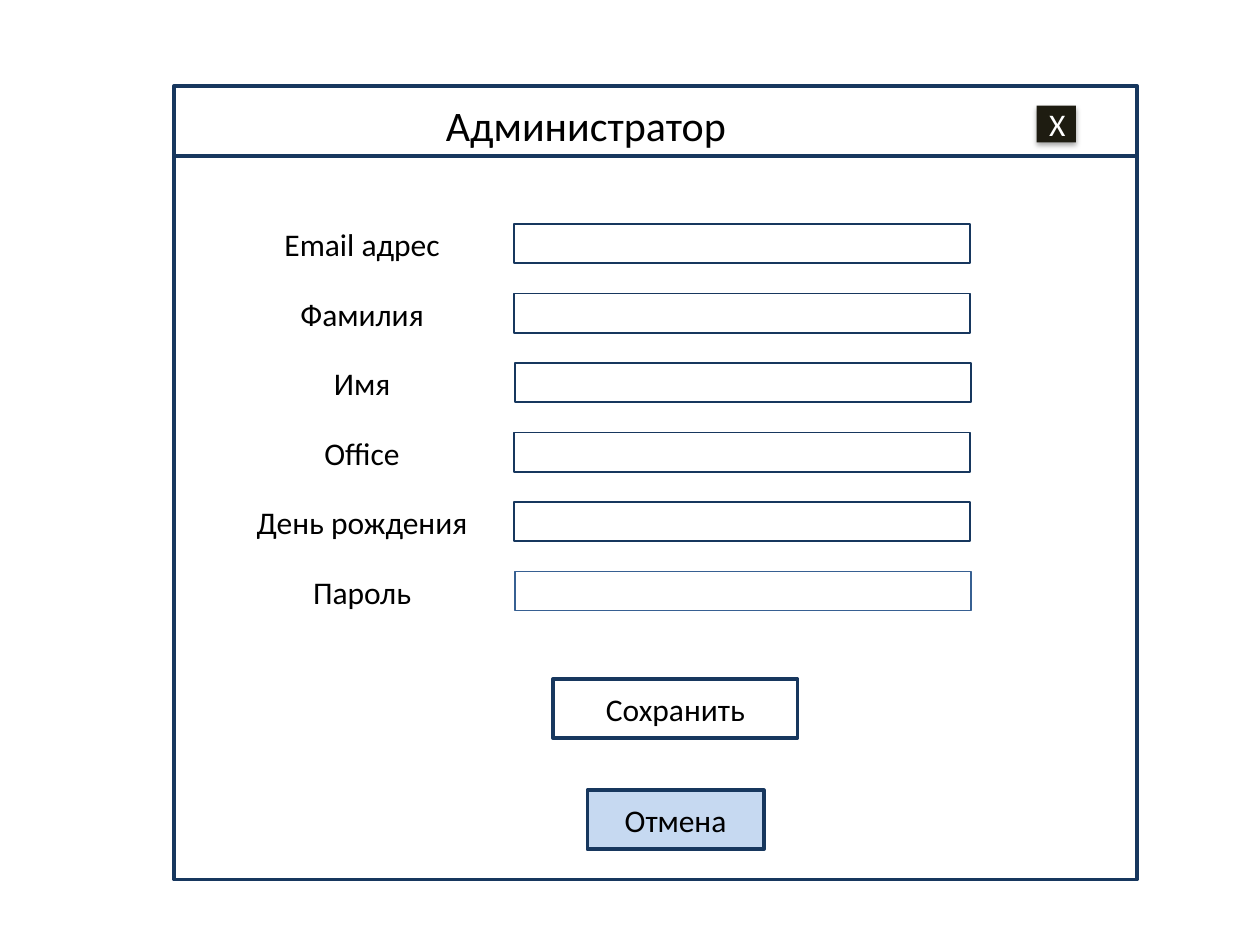
"""Build the administrator form slide."""
from dataclasses import dataclass

import pptx
import pptx.dml.color
import pptx.enum.shapes
import pptx.enum.text
import pptx.oxml
import pptx.oxml.ns
import pptx.util

Cm = pptx.util.Cm
Pt = pptx.util.Pt
Shapes = pptx.enum.shapes.MSO_SHAPE
Align = pptx.enum.text.PP_ALIGN
Anchor = pptx.enum.text.MSO_ANCHOR


@dataclass(frozen=True)
class Theme:
    font: str = "Calibri"
    title_size: int = 24
    body_size: int = 18
    text: str = "000000"
    white: str = "FFFFFF"
    navy: str = "17375E"
    blue: str = "376092"
    pale: str = "C6D9F1"
    dark: str = "1E1C11"


THEME = Theme()
TITLE = "Администратор"
FIELDS = [
    ("Email адрес", 10.36, THEME.navy),
    ("Фамилия", 10.36, THEME.navy),
    ("Имя", 10.39, THEME.navy),
    ("Office", 10.36, THEME.navy),
    ("День рождения", 10.36, THEME.navy),
    ("Пароль", 10.39, THEME.blue),
]
BUTTONS = [
    ("Сохранить", (11.15, 13.69, 4.93, 1.19), THEME.white),
    ("Отмена", (11.84, 15.93, 3.56, 1.19), THEME.pale),
]
WINDOW = (3.51, 1.73, 19.41, 16)
DIVIDER_TOP = 3.15
FIELD_TOP, LABEL_TOP, PITCH = 4.52, 4.42, 1.4
SHADOW = (
    '<a:effectLst xmlns:a="http://schemas.openxmlformats.org/drawingml/2006/main">'
    '<a:outerShdw blurRad="39370" dist="22860" dir="5400000" rotWithShape="0">'
    '<a:srgbClr val="000000"><a:alpha val="35000"/></a:srgbClr>'
    '</a:outerShdw></a:effectLst>'
)


def rgb(value):
    return pptx.dml.color.RGBColor.from_string(value)


def write(shape, text, size=THEME.body_size, color=THEME.text, align=Align.CENTER):
    paragraph = shape.text_frame.paragraphs[0]
    paragraph.alignment = align
    run = paragraph.add_run()
    run.text = text
    run.font.name = THEME.font
    run.font.size = Pt(size)
    run.font.color.rgb = rgb(color)


def add_box(shapes, kind, box, fill, line=None, width=1):
    shape = shapes.add_shape(kind, *map(Cm, box))
    shape.shadow.inherit = False
    shape.fill.solid()
    shape.fill.fore_color.rgb = rgb(fill)
    if line:
        shape.line.color.rgb = rgb(line)
        shape.line.width = Pt(width)
    else:
        shape.line.fill.background()
    shape.text_frame.vertical_anchor = Anchor.MIDDLE
    return shape


def add_label(shapes, box, text, **style):
    label = shapes.add_textbox(*map(Cm, box))
    label.text_frame.word_wrap = True
    label.text_frame.auto_size = pptx.enum.text.MSO_AUTO_SIZE.SHAPE_TO_FIT_TEXT
    write(label, text, **style)


def add_window(shapes):
    left, _, width, _ = WINDOW
    group = shapes.add_group_shape()
    add_box(group.shapes, Shapes.RECTANGLE, WINDOW, THEME.white, THEME.navy, 2)
    divider = group.shapes.add_connector(
        pptx.enum.shapes.MSO_CONNECTOR.STRAIGHT,
        Cm(left), Cm(DIVIDER_TOP), Cm(left + width), Cm(DIVIDER_TOP))
    divider.line.color.rgb = rgb(THEME.navy)
    divider.line.width = Pt(2.25)
    divider._element.spPr.append(
        pptx.oxml.parse_xml(f'<a:effectLst {pptx.oxml.ns.nsdecls("a")}/>'))


def add_close_button(shapes):
    close = add_box(shapes, Shapes.RECTANGLE, (20.9, 2.13, 0.79, 0.74), THEME.dark)
    properties = close._element.spPr
    properties.replace(properties.find(pptx.oxml.ns.qn("a:effectLst")),
                       pptx.oxml.parse_xml(SHADOW))
    write(close, "Х", color=THEME.white)


presentation = pptx.Presentation()
presentation.slide_width, presentation.slide_height = Cm(25.4), Cm(19.05)
slide = presentation.slides.add_slide(presentation.slide_layouts[6])
shapes = slide.shapes

add_window(shapes)
add_label(shapes, (8.74, 1.88, 8.79, 1.27), TITLE,
          size=THEME.title_size, align=Align.LEFT)
for row, (name, left, line) in enumerate(FIELDS):
    offset = row * PITCH
    add_box(shapes, Shapes.RECTANGLE, (left, FIELD_TOP + offset, 9.19, 0.79),
            THEME.white, line)
    add_label(shapes, (4.9, LABEL_TOP + offset, 4.8, 1.02), name)
for name, box, fill in BUTTONS:
    write(add_box(shapes, Shapes.ACTION_BUTTON_CUSTOM, box, fill, THEME.navy, 2), name)
add_close_button(shapes)

presentation.save("out.pptx")
